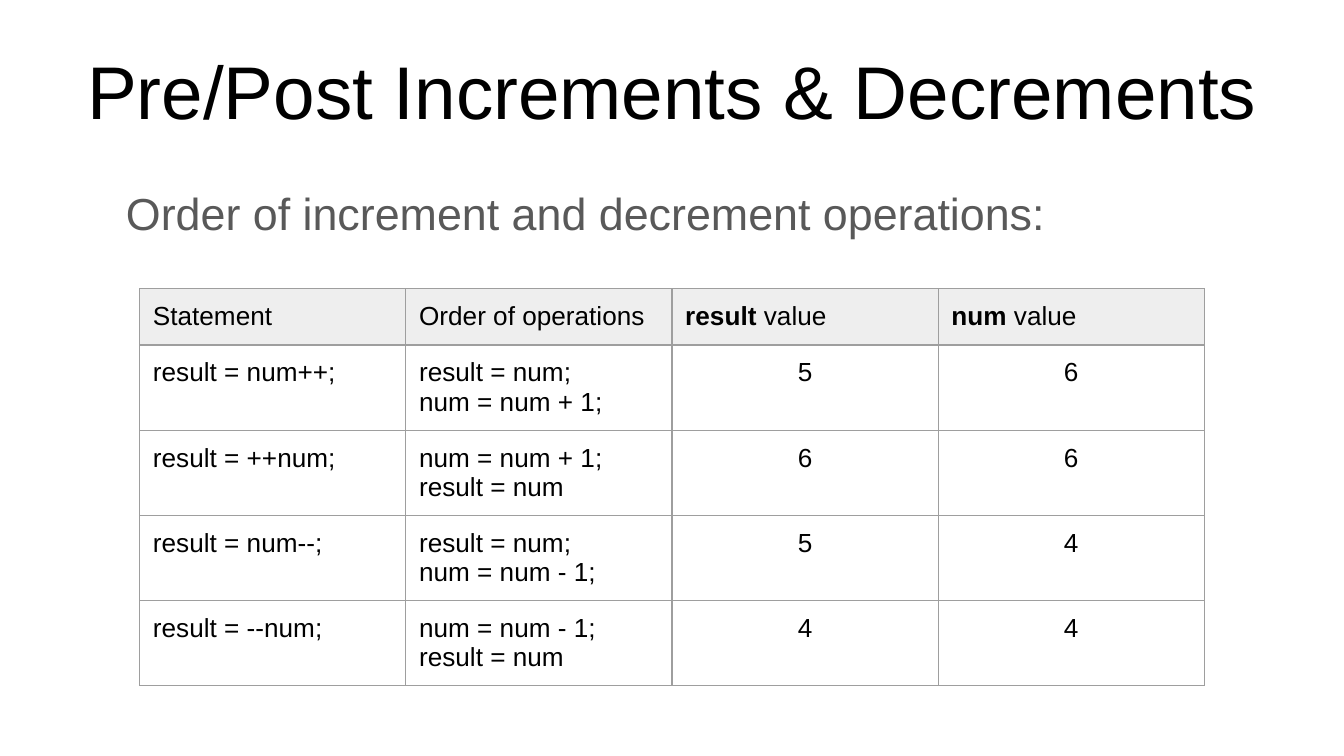
from dataclasses import dataclass

import pptx
import pptx.dml.color
import pptx.enum.text
import pptx.oxml
import pptx.oxml.ns
import pptx.util
from pptx.util import Cm

COLORS = {
    "white": "FFFFFF",
    "black": "000000",
    "subtitle": "595959",
    "header": "EEEEEE",
    "border": "9E9E9E",
}
FONT = "Arial"
INSET = Cm(0.25)
COLUMN_WIDTH = Cm(5.03)
ROW_HEIGHT = Cm(1.06)
LEFT = pptx.enum.text.PP_ALIGN.LEFT
CENTER = pptx.enum.text.PP_ALIGN.CENTER


@dataclass(frozen=True)
class Operation:
    statement: str
    steps: tuple[str, str]
    result: int
    num: int


OPERATIONS = [
    Operation("result = num++;", ("result = num;", "num = num + 1;"), 5, 6),
    Operation("result = ++num;", ("num = num + 1;", "result = num"), 6, 6),
    Operation("result = num--;", ("result = num;", "num = num - 1;"), 5, 4),
    Operation("result = --num;", ("num = num - 1;", "result = num"), 4, 4),
]
# Each heading is a bold part followed by a regular part.
HEADINGS = [("", "Statement"), ("", "Order of operations"),
            ("result ", "value"), ("num ", "value")]


def rgb(name: str) -> pptx.dml.color.RGBColor:
    return pptx.dml.color.RGBColor.from_string(COLORS[name])


def write(text_frame, *lines: str, bold_start: str = "", size: float = 14,
          color: str = "black", align=LEFT, spacing: float = 1.0, indent: int = 0) -> None:
    """Write one paragraph per line; bold_start opens the first one."""
    for index, line in enumerate(lines):
        paragraph = text_frame.paragraphs[0] if index == 0 else text_frame.add_paragraph()
        paragraph.alignment = align
        paragraph.line_spacing = spacing
        paragraph.space_before = pptx.util.Pt(0)
        properties = paragraph._p.get_or_add_pPr()
        properties.set("marL", str(indent))
        properties.set("indent", "0")
        parts = [(bold_start, True)] if bold_start and index == 0 else []
        for text, bold in parts + [(line, False)]:
            run = paragraph.add_run()
            run.text = text
            run.font.name = FONT
            run.font.size = pptx.util.Pt(size)
            run.font.bold = bold
            run.font.color.rgb = rgb(color)


def set_margins(target) -> None:
    target.margin_left = target.margin_right = INSET
    target.margin_top = target.margin_bottom = INSET


def fill_placeholder(shape, text: str, top: int, height: int, anchor, **text_format) -> None:
    shape.left, shape.top = Cm(0.86), top
    shape.width, shape.height = Cm(23.67), height
    shape.fill.solid()
    shape.fill.fore_color.rgb = rgb("white")
    text_frame = shape.text_frame
    text_frame.word_wrap = True
    text_frame.auto_size = pptx.enum.text.MSO_AUTO_SIZE.NONE
    text_frame.vertical_anchor = anchor
    set_margins(text_frame)
    write(text_frame, text, **text_format)


def add_borders(cell) -> None:
    properties = cell._tc.get_or_add_tcPr()
    for side in ("lnL", "lnR", "lnT", "lnB"):
        properties.append(pptx.oxml.parse_xml(
            f'<a:{side} {pptx.oxml.ns.nsdecls("a")} w="{pptx.util.Pt(0.75)}">'
            f'<a:solidFill><a:srgbClr val="{COLORS["border"]}"/></a:solidFill></a:{side}>'
        ))


def format_cell(cell, fill: str) -> None:
    set_margins(cell)
    add_borders(cell)
    cell.fill.solid()
    cell.fill.fore_color.rgb = rgb(fill)


def add_operations_table(slide) -> None:
    row_count, column_count = len(OPERATIONS) + 1, len(HEADINGS)
    table = slide.shapes.add_table(
        row_count, column_count, Cm(2.64), Cm(5.46),
        COLUMN_WIDTH * column_count, ROW_HEIGHT * row_count).table
    table.horz_banding = False
    table.first_row = False
    for column, (bold_start, text) in enumerate(HEADINGS):
        cell = table.cell(0, column)
        format_cell(cell, "header")
        write(cell.text_frame, text, bold_start=bold_start)
    for row, operation in enumerate(OPERATIONS, start=1):
        contents = [
            ((operation.statement,), LEFT),
            (operation.steps, LEFT),
            ((str(operation.result),), CENTER),
            ((str(operation.num),), CENTER),
        ]
        for column, (lines, align) in enumerate(contents):
            cell = table.cell(row, column)
            format_cell(cell, "white")
            write(cell.text_frame, *lines, align=align)


def main() -> None:
    presentation = pptx.Presentation()
    presentation.slide_width, presentation.slide_height = Cm(25.4), Cm(14.29)
    slide = presentation.slides.add_slide(presentation.slide_layouts[0])
    anchors = pptx.enum.text.MSO_ANCHOR
    fill_placeholder(slide.shapes.title, "Pre/Post Increments & Decrements",
                     Cm(0.58), Cm(2.21), anchors.BOTTOM, size=40, align=CENTER)
    fill_placeholder(slide.placeholders[1], "Order of increment and decrement operations:",
                     Cm(3.15), Cm(10.87), anchors.TOP, size=24, color="subtitle",
                     spacing=1.11, indent=Cm(1.27))
    add_operations_table(slide)
    presentation.save("out.pptx")


if __name__ == "__main__":
    main()
